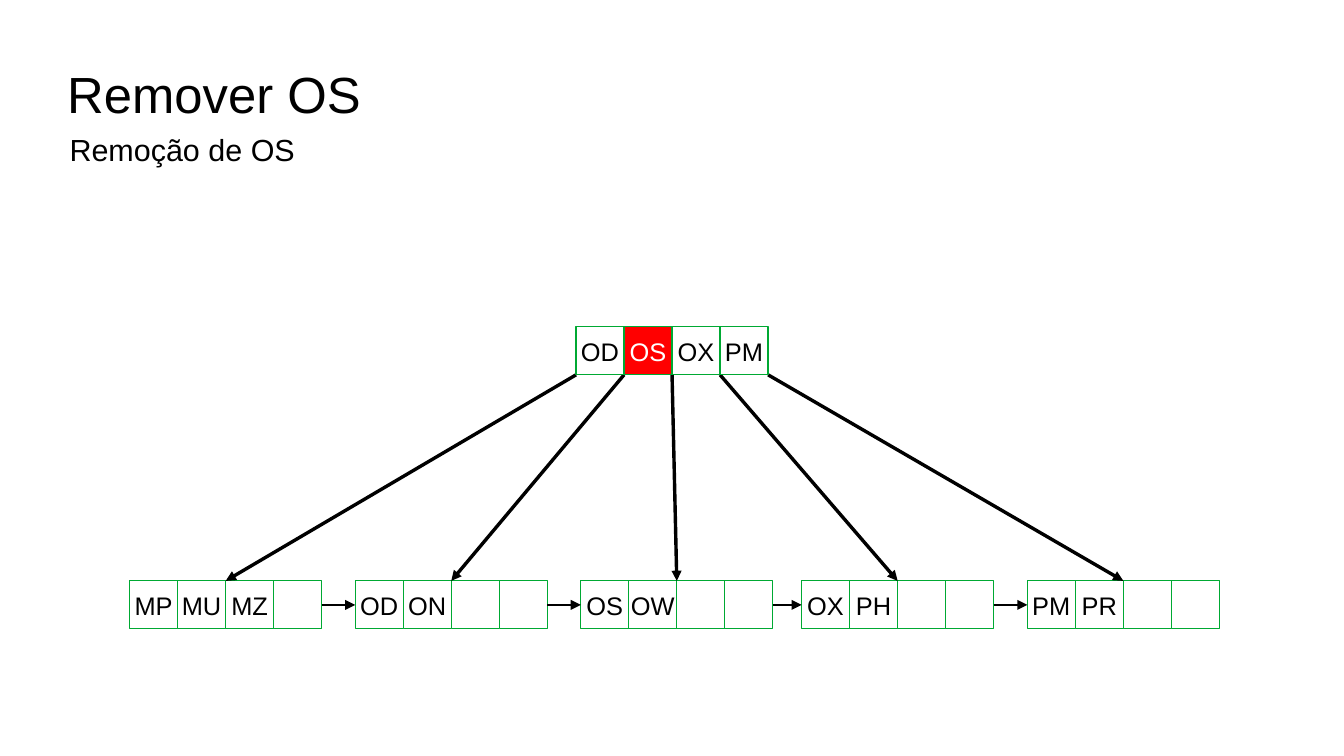
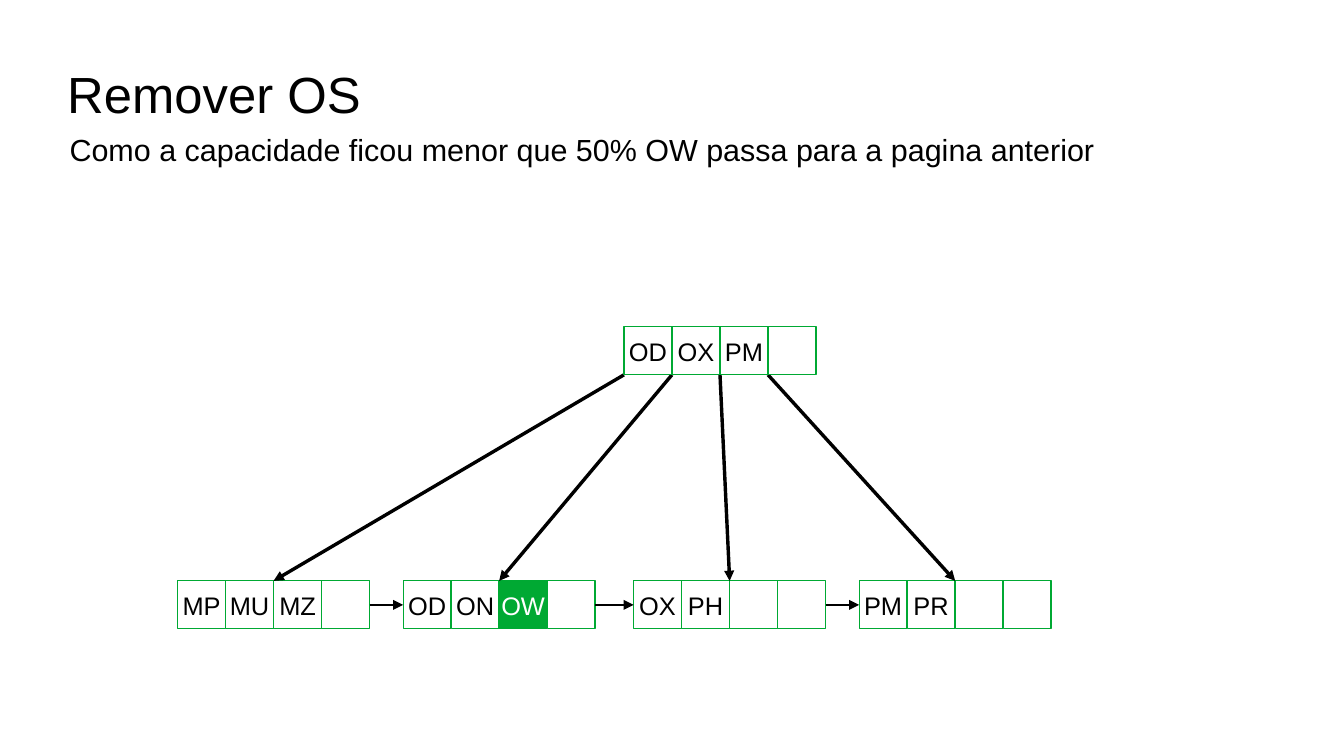
"""Build two slides that show the removal of key OS from a B+ tree."""
import itertools

import lxml.etree
import pptx
import pptx.dml.color
import pptx.enum.shapes
import pptx.enum.text
import pptx.oxml.ns
import pptx.util

Pt = pptx.util.Pt

FONT = "Arial"
BLACK, WHITE, GREEN, RED = "000000", "FFFFFF", "00A933", "FF0000"
CELL = 28.35
CELLS_PER_NODE = 4
ROOT_TOP, LEAF_TOP = 193, 343
LINK_WIDTHS = (1, 1.5, 1, 1)

SLIDES = [
    {
        "title": "Remover OS",
        "subtitle": "Remoção de OS",
        "root": {"left": 340.2, "keys": ["OD", "OS", "OX", "PM"], "marked": {"OS": RED}},
        "leaves": [
            {"left": 76.6, "keys": ["MP", "MU", "MZ"]},
            {"left": 209.8, "keys": ["OD", "ON"]},
            {"left": 343, "keys": ["OS", "OW"]},
            {"left": 473.4, "keys": ["OX", "PH"]},
            {"left": 606.7, "keys": ["PM", "PR"]},
        ],
    },
    {
        "title": "Remover OS",
        "subtitle": "Como a capacidade ficou menor que 50% OW passa para a pagina anterior",
        "root": {"left": 368.5, "keys": ["OD", "OX", "PM"]},
        "leaves": [
            {"left": 104.9, "keys": ["MP", "MU", "MZ"]},
            {"left": 238.1, "keys": ["OD", "ON", "OW"], "marked": {"OW": GREEN}},
            {"left": 374.2, "keys": ["OX", "PH"]},
            {"left": 507.4, "keys": ["PM", "PR"]},
        ],
    },
]


def rgb(value):
    return pptx.dml.color.RGBColor.from_string(value)


def style_font(paragraph, size, colour=BLACK):
    paragraph.font.name = FONT
    paragraph.font.size = Pt(size)
    paragraph.font.color.rgb = rgb(colour)


def add_title(slide, text):
    title = slide.shapes.title
    title.left, title.top, title.width, title.height = Pt(39.7), Pt(17.8), Pt(714.3), Pt(74.6)
    frame = title.text_frame
    frame.text = text
    frame.margin_left = frame.margin_right = frame.margin_top = frame.margin_bottom = 0
    frame.vertical_anchor = pptx.enum.text.MSO_ANCHOR.MIDDLE
    frame.auto_size = pptx.enum.text.MSO_AUTO_SIZE.NONE
    frame.paragraphs[0].alignment = pptx.enum.text.PP_ALIGN.LEFT
    style_font(frame.paragraphs[0], 30)


def add_subtitle(slide, text):
    frame = slide.shapes.add_textbox(Pt(34), Pt(73.7), Pt(731.3), Pt(88)).text_frame
    frame.word_wrap = True
    frame.text = text
    style_font(frame.paragraphs[0], 18)


def add_cell(slide, left, top, key, fill):
    cell = slide.shapes.add_shape(
        pptx.enum.shapes.MSO_SHAPE.RECTANGLE, Pt(left), Pt(top), Pt(CELL), Pt(CELL))
    cell.shadow.inherit = False
    cell.fill.solid()
    cell.fill.fore_color.rgb = rgb(fill)
    cell.line.color.rgb = rgb(GREEN)
    cell.line.width = Pt(0)
    if key:
        frame = cell.text_frame
        frame.word_wrap = False
        frame.vertical_anchor = pptx.enum.text.MSO_ANCHOR.MIDDLE
        frame.text = key
        frame.paragraphs[0].alignment = pptx.enum.text.PP_ALIGN.CENTER
        style_font(frame.paragraphs[0], 15, BLACK if fill == WHITE else WHITE)


def add_node(slide, node, top):
    marked = node.get("marked", {})
    for index in range(CELLS_PER_NODE):
        key = node["keys"][index] if index < len(node["keys"]) else ""
        add_cell(slide, node["left"] + index * CELL, top, key, marked.get(key, WHITE))


def add_arrow(slide, start, end, width):
    arrow = slide.shapes.add_connector(
        pptx.enum.shapes.MSO_CONNECTOR.STRAIGHT, *(Pt(value) for value in start + end))
    arrow.line.color.rgb = rgb(BLACK)
    arrow.line.width = Pt(width)
    lxml.etree.SubElement(
        arrow.line._get_or_add_ln(), pptx.oxml.ns.qn("a:tailEnd"), type="triangle")
    lxml.etree.SubElement(arrow._element.spPr, pptx.oxml.ns.qn("a:effectLst"))


def add_tree(slide, root, leaves):
    for leaf in leaves:
        add_node(slide, leaf, LEAF_TOP)
    middle = LEAF_TOP + CELL / 2
    for (leaf, following), width in zip(itertools.pairwise(leaves), LINK_WIDTHS):
        leaf_right = leaf["left"] + CELLS_PER_NODE * CELL
        add_arrow(slide, (leaf_right, middle), (following["left"], middle), width)
    for index, leaf in enumerate(leaves):
        start = (root["left"] + index * CELL, ROOT_TOP + CELL)
        end = (leaf["left"] + CELLS_PER_NODE * CELL / 2, LEAF_TOP)
        add_arrow(slide, start, end, 0)
    add_node(slide, root, ROOT_TOP)


def main():
    presentation = pptx.Presentation()
    presentation.slide_width, presentation.slide_height = Pt(793.7), Pt(446.4)
    title_only = presentation.slide_layouts.get_by_name("Title Only")
    for content in SLIDES:
        slide = presentation.slides.add_slide(title_only)
        add_title(slide, content["title"])
        add_tree(slide, content["root"], content["leaves"])
        add_subtitle(slide, content["subtitle"])
    presentation.save("out.pptx")


if __name__ == "__main__":
    main()
